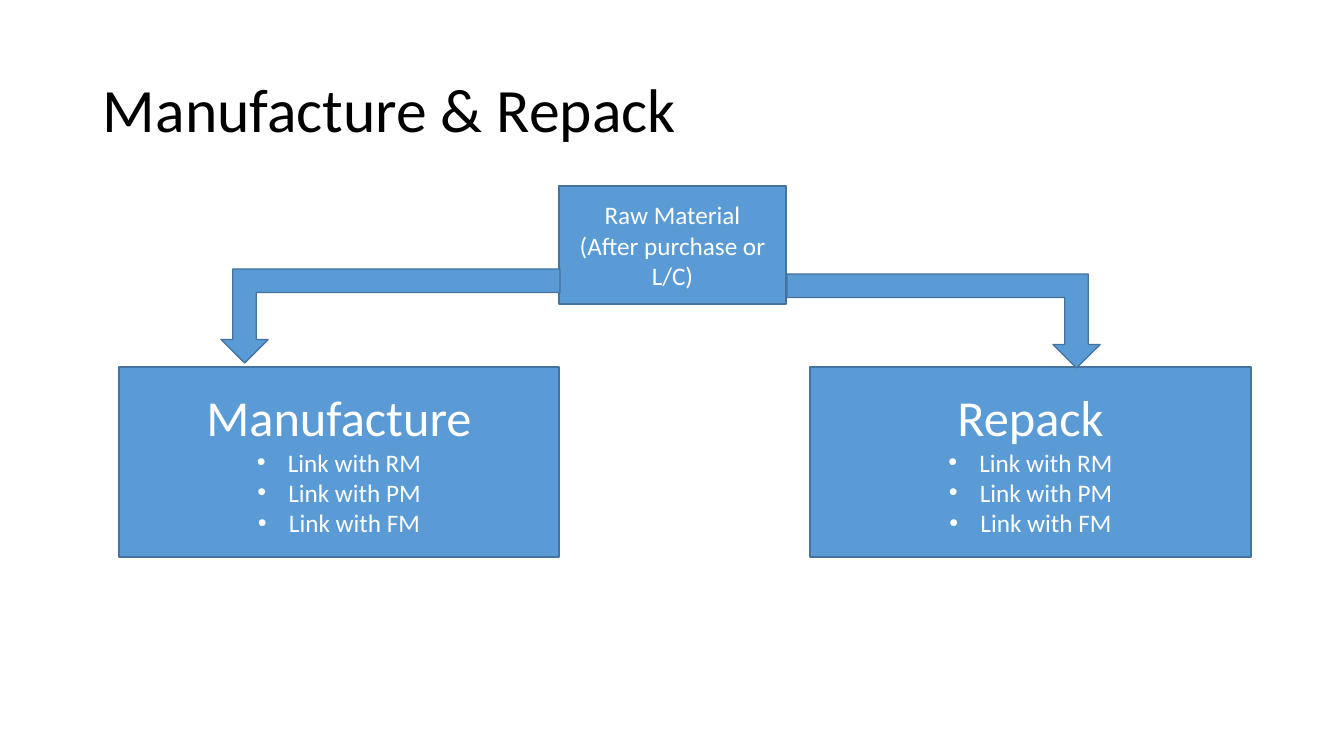
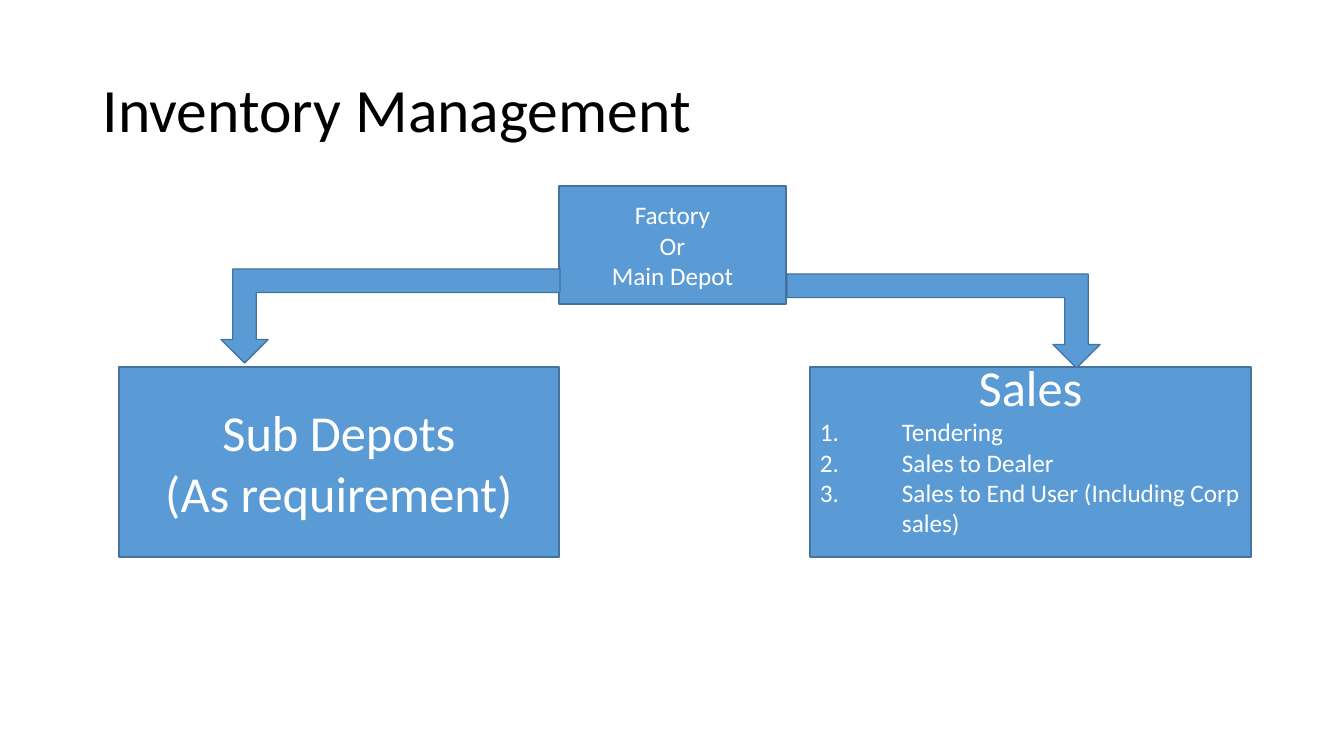
"""Build two flow slides in which one source box branches into two result boxes."""
from dataclasses import dataclass

from lxml import etree
from pptx import Presentation
from pptx.dml.color import RGBColor
from pptx.enum.shapes import MSO_SHAPE
from pptx.enum.text import MSO_ANCHOR, PP_ALIGN
from pptx.oxml.ns import qn
from pptx.util import Pt

RECTANGLE = MSO_SHAPE.RECTANGLE
BENT_ARROW = MSO_SHAPE.BENT_UP_ARROW
MIDDLE = MSO_ANCHOR.MIDDLE
LEFT, CENTER = PP_ALIGN.LEFT, PP_ALIGN.CENTER

EMU_PER_PIXEL = 914400 / 100.8
FONT = "Calibri"
BLACK, WHITE = "000000", "FFFFFF"
BLUE, OUTLINE = "5B9BD5", "43739E"
TITLE_SIZE, HEADING_SIZE, BODY_SIZE = 44, 36, 18


@dataclass(frozen=True)
class Area:
    left: int
    top: int
    width: int
    height: int


@dataclass(frozen=True)
class ListStyle:
    tag: str
    attributes: dict[str, str]
    indent: int
    alignment: PP_ALIGN


@dataclass(frozen=True)
class Line:
    text: str
    size: int = BODY_SIZE
    list_style: ListStyle | None = None


@dataclass(frozen=True)
class Box:
    area: Area
    lines: list[Line]
    bottom_inset: int = 5


@dataclass(frozen=True)
class Arrow:
    area: Area
    flipped: bool


@dataclass(frozen=True)
class FlowSlide:
    title: str
    boxes: list[Box]


BULLETS = ListStyle("a:buChar", {"char": "•"}, 31, CENTER)
NUMBERS = ListStyle("a:buAutoNum", {"type": "arabicPeriod"}, 82, LEFT)

TITLE_AREA = Area(93, 40, 1159, 146)
SOURCE_AREA = Area(559, 186, 227, 118)
LEFT_AREA = Area(119, 367, 440, 190)
RIGHT_AREA = Area(810, 367, 441, 190)
ARROWS = [
    Arrow(Area(221, 269, 339, 94), False),
    Arrow(Area(787, 274, 313, 94), True),
]


def pixels(value: int) -> int:
    return round(value * EMU_PER_PIXEL)


def place(area: Area) -> tuple[int, int, int, int]:
    return (pixels(area.left), pixels(area.top),
            pixels(area.width), pixels(area.height))


def color(value: str) -> RGBColor:
    return RGBColor.from_string(value)


def add_run(paragraph, text: str, size: int, font_color: str) -> None:
    run = paragraph.add_run()
    run.text = text
    run.font.name = FONT
    run.font.size = Pt(size)
    run.font.color.rgb = color(font_color)


def apply_list_style(paragraph, style: ListStyle) -> None:
    paragraph.alignment = style.alignment
    properties = paragraph._p.get_or_add_pPr()
    properties.set("marL", str(pixels(style.indent)))
    properties.set("indent", str(-pixels(style.indent)))
    if style is BULLETS:
        etree.SubElement(properties, qn("a:buFont"), typeface="Arial")
    etree.SubElement(properties, qn(style.tag), style.attributes)


def add_title(slide, title: str) -> None:
    frame = slide.shapes.add_textbox(*place(TITLE_AREA)).text_frame
    frame.word_wrap = True
    frame.vertical_anchor = MIDDLE
    paragraph = frame.paragraphs[0]
    paragraph.line_spacing = 0.9
    add_run(paragraph, title, TITLE_SIZE, BLACK)


def add_blue_shape(slide, kind: MSO_SHAPE, area: Area):
    shape = slide.shapes.add_shape(kind, *place(area))
    shape.shadow.inherit = False
    shape.fill.solid()
    shape.fill.fore_color.rgb = color(BLUE)
    shape.line.color.rgb = color(OUTLINE)
    shape.line.width = Pt(1)
    return shape


def add_box(slide, box: Box) -> None:
    frame = add_blue_shape(slide, RECTANGLE, box.area).text_frame
    frame.word_wrap = True
    frame.vertical_anchor = MIDDLE
    frame.margin_bottom = pixels(box.bottom_inset)
    for index, line in enumerate(box.lines):
        paragraph = frame.add_paragraph() if index else frame.paragraphs[0]
        paragraph.alignment = CENTER
        if line.list_style:
            apply_list_style(paragraph, line.list_style)
        add_run(paragraph, line.text, line.size, WHITE)


def add_arrow(slide, arrow: Arrow) -> None:
    shape = add_blue_shape(slide, BENT_ARROW, arrow.area)
    shape.rotation = 180
    if arrow.flipped:
        shape._element.spPr.find(qn("a:xfrm")).set("flipH", "1")


def add_flow_slide(presentation, flow: FlowSlide) -> None:
    slide = presentation.slides.add_slide(presentation.slide_layouts[6])
    add_title(slide, flow.title)
    for box in flow.boxes:
        add_box(slide, box)
    for arrow in ARROWS:
        add_arrow(slide, arrow)


def headed_list(heading: str, items: list[str], style: ListStyle) -> list[Line]:
    return [Line(heading, HEADING_SIZE),
            *(Line(item, list_style=style) for item in items)]


LINKS = ["Link with RM", "Link with PM", "Link with FM"]
SALES = ["Tendering", "Sales to Dealer", "Sales to End User (Including Corp sales)"]
FLOWS = [
    FlowSlide("Manufacture & Repack", [
        Box(SOURCE_AREA, [Line("Raw Material"), Line("(After purchase or L/C)")]),
        Box(LEFT_AREA, headed_list("Manufacture", LINKS, BULLETS)),
        Box(RIGHT_AREA, headed_list("Repack", LINKS, BULLETS)),
    ]),
    FlowSlide("Inventory Management", [
        Box(SOURCE_AREA, [Line("Factory"), Line("Or"), Line("Main Depot")]),
        Box(LEFT_AREA, [Line("Sub Depots", HEADING_SIZE),
                        Line("(As requirement)", HEADING_SIZE)]),
        Box(RIGHT_AREA, headed_list("Sales", SALES, NUMBERS), bottom_inset=35),
    ]),
]


def main() -> None:
    presentation = Presentation()
    presentation.slide_width = pixels(1344)
    presentation.slide_height = pixels(756)
    for flow in FLOWS:
        add_flow_slide(presentation, flow)
    presentation.save("out.pptx")


main()
